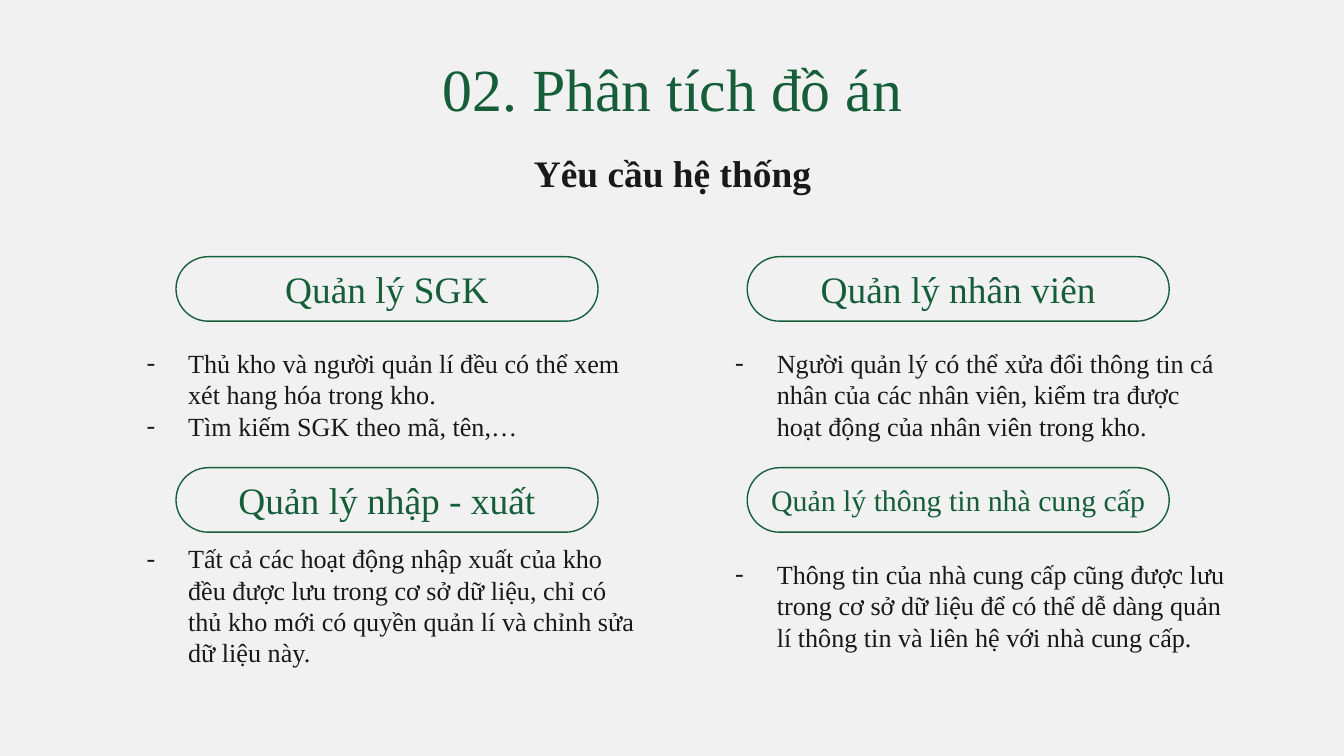
"""Build the system requirements slide with four titled cards."""
from lxml import etree
from pptx import Presentation
from pptx.dml.color import RGBColor
from pptx.enum import shapes, text
from pptx.oxml import ns
from pptx.util import Inches, Pt

FONT = "Times New Roman"
COLORS = {"paper": "F1F1F1", "green": "165E39", "ink": "191919"}
PILL_WIDTH, PILL_HEIGHT = 3.14, 0.48
BODY_WIDTH, BODY_HEIGHT = 4.25, 0.69
COLUMNS = [{"pill": 1.31, "body": 0.79}, {"pill": 5.56, "body": 5.17}]
ROWS = [1.91, 3.48]
BODY_DROP = 0.68
BULLET_INDENT = 0.31
CARDS = [
    ("Quản lý SGK", 20, 2.96, [
        "Thủ kho và người quản lí đều có thể xem xét hang hóa trong kho.",
        "Tìm kiếm SGK theo mã, tên,…"]),
    ("Quản lý nhân viên", 20, 2.96, [
        "Người quản lý có thể xửa đổi thông tin cá nhân của các nhân viên, "
        "kiểm tra được hoạt động của nhân viên trong kho."]),
    ("Quản lý nhập - xuất", 20, 2.96, [
        "Tất cả các hoạt động nhập xuất của kho đều được lưu trong cơ sở dữ liệu, "
        "chỉ có thủ kho mới có quyền quản lí và chỉnh sửa dữ liệu này."]),
    ("Quản lý thông tin nhà cung cấp", 16, PILL_WIDTH, [
        "Thông tin của nhà cung cấp cũng được lưu trong cơ sở dữ liệu "
        "để có thể dễ dàng quản lí thông tin và liên hệ với nhà cung cấp."]),
]


def color(name):
    return RGBColor.from_string(COLORS[name])


def setup_frame(box, side_inset=0.1):
    frame = box.text_frame
    frame.word_wrap = True
    frame.auto_size = text.MSO_AUTO_SIZE.NONE
    frame.vertical_anchor = text.MSO_ANCHOR.MIDDLE
    frame.margin_left = frame.margin_right = Inches(side_inset)
    frame.margin_top = frame.margin_bottom = Inches(0.1)
    return frame


def add_span(para, words, size, ink, bold=False):
    span = para.add_run()
    span.text = words
    span.font.name = FONT
    span.font.size = Pt(size)
    span.font.bold = bold
    span.font.color.rgb = color(ink)


def write_heading(box, words, size, ink, bold=False):
    para = setup_frame(box).paragraphs[0]
    para.alignment = text.PP_ALIGN.CENTER
    add_span(para, words, size, ink, bold)


def add_box(page, left, top, width, height):
    return page.shapes.add_textbox(
        Inches(left), Inches(top), Inches(width), Inches(height))


def set_title(page, words):
    title = page.shapes.title
    title.left, title.top = Inches(0.79), Inches(0.34)
    title.width, title.height = Inches(8.43), Inches(0.63)
    write_heading(title, words, 32, "green")


def add_pill(page, left, top):
    pill = page.shapes.add_shape(
        shapes.MSO_SHAPE.ROUNDED_RECTANGLE, Inches(left), Inches(top),
        Inches(PILL_WIDTH), Inches(PILL_HEIGHT))
    pill.adjustments[0] = 0.5
    pill.shadow.inherit = False
    pill.fill.background()
    pill.line.color.rgb = color("green")
    pill.line.width = Pt(0.75)


def add_dash(para):
    props = para._p.get_or_add_pPr()
    indent = Inches(BULLET_INDENT)
    props.set("marL", str(indent))
    props.set("indent", str(-indent))
    tint = etree.SubElement(props, ns.qn("a:buClr"))
    etree.SubElement(tint, ns.qn("a:srgbClr"), val=COLORS["ink"])
    etree.SubElement(props, ns.qn("a:buFont"), typeface=FONT)
    etree.SubElement(props, ns.qn("a:buChar"), char="-")


def add_bullets(page, left, top, items):
    frame = setup_frame(add_box(page, left, top, BODY_WIDTH, BODY_HEIGHT), 0.3)
    for index, item in enumerate(items):
        para = frame.add_paragraph() if index else frame.paragraphs[0]
        add_dash(para)
        add_span(para, item, 14, "ink")


def add_card(page, column, top, card):
    label, size, width, items = card
    add_pill(page, column["pill"], top)
    left = column["pill"] + (PILL_WIDTH - width) / 2
    write_heading(add_box(page, left, top, width, PILL_HEIGHT), label, size, "green")
    add_bullets(page, column["body"], top + BODY_DROP, items)


def main():
    deck = Presentation()
    deck.slide_width = Inches(10)
    deck.slide_height = Inches(10 * 9 / 16)
    page = deck.slides.add_slide(deck.slide_layouts[5])
    page.background.fill.solid()
    page.background.fill.fore_color.rgb = color("paper")
    set_title(page, "02. Phân tích đồ án")
    write_heading(add_box(page, 0.79, 0.97, 8.43, 0.63),
                  "Yêu cầu hệ thống", 20, "ink", bold=True)
    for index, card in enumerate(CARDS):
        row, column = divmod(index, len(COLUMNS))
        add_card(page, COLUMNS[column], ROWS[row], card)
    deck.save("out.pptx")


if __name__ == "__main__":
    main()
